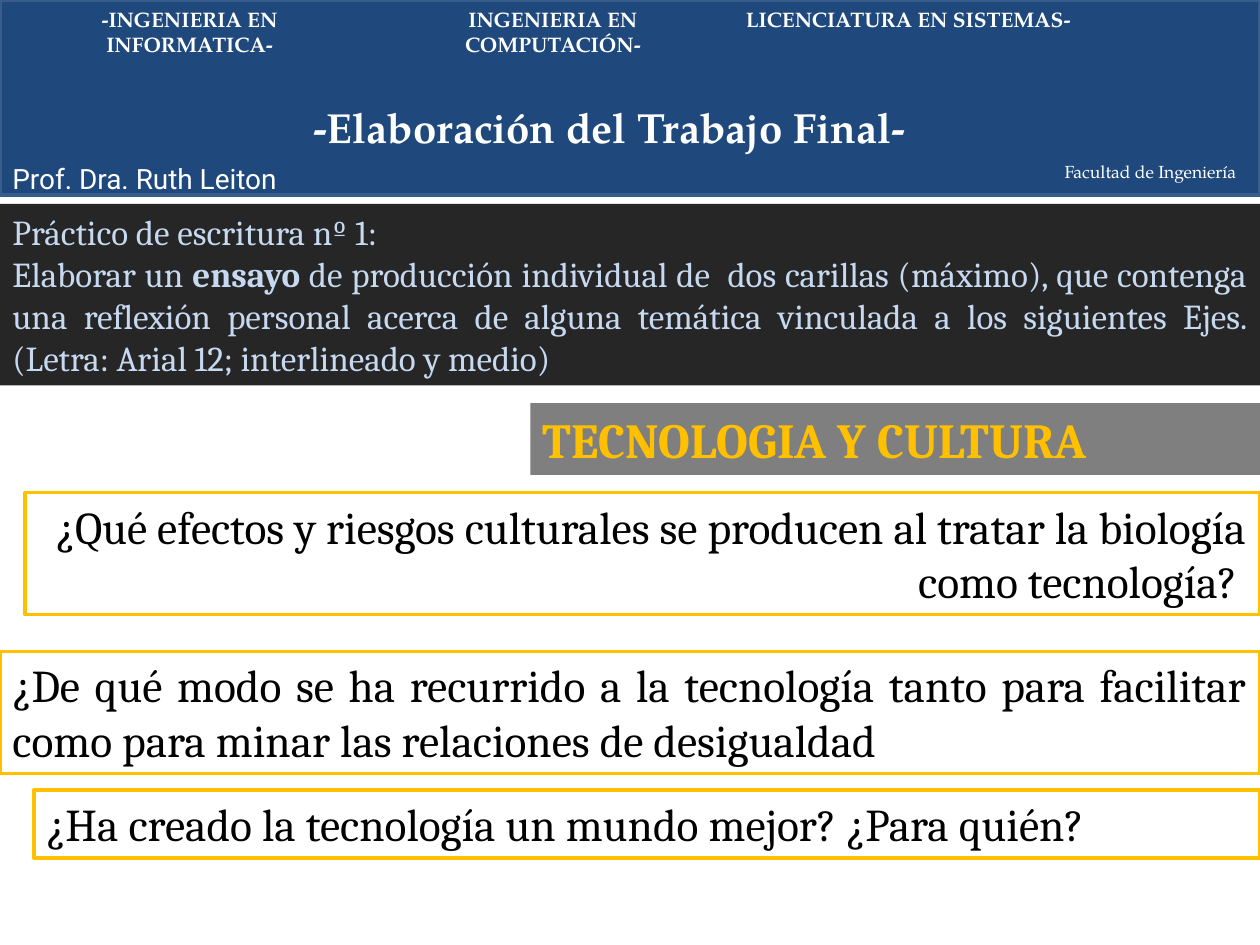
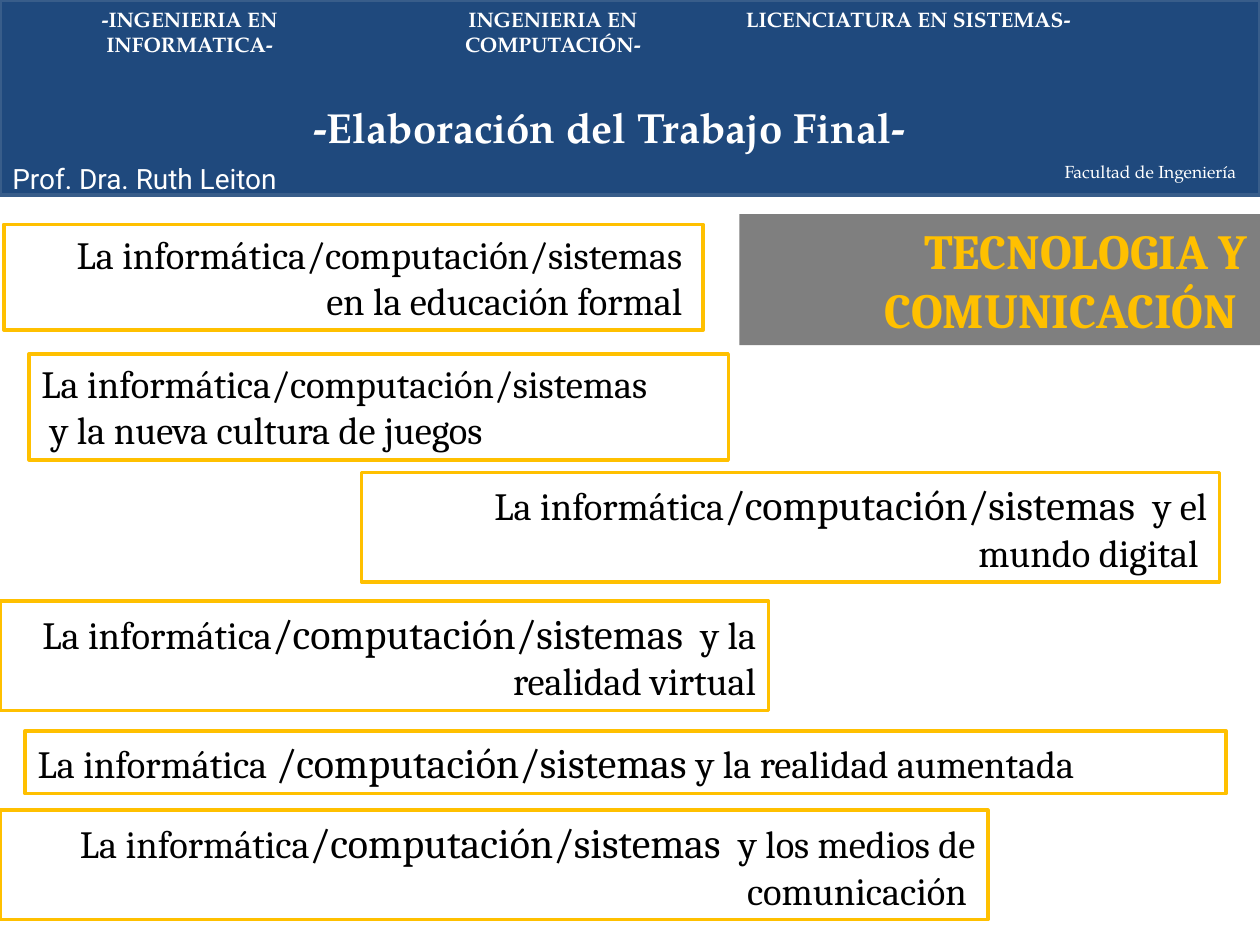
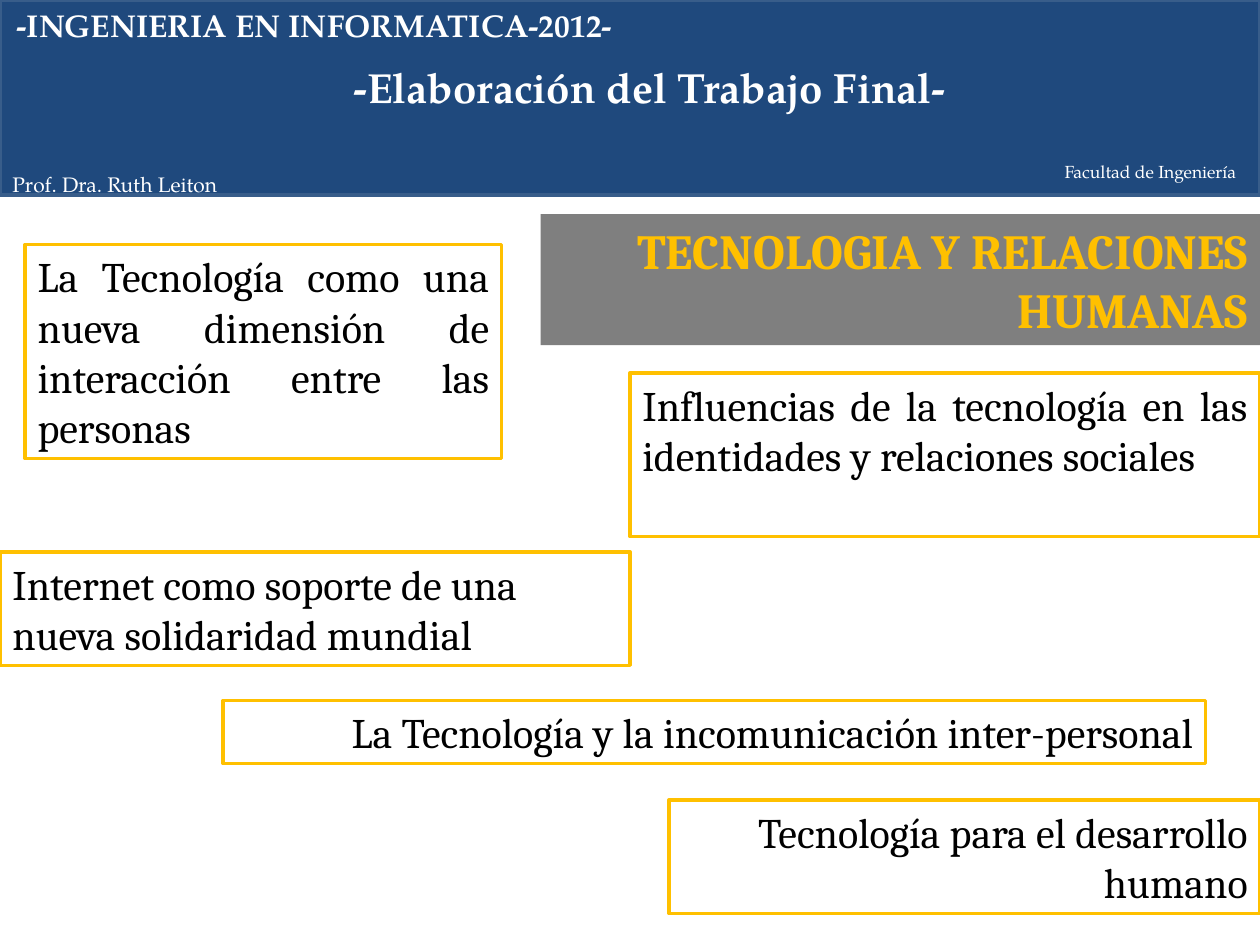
"""Build three slides with essay topics on technology, culture and society."""
from pptx import Presentation
from pptx.dml.color import RGBColor
from pptx.enum.shapes import MSO_SHAPE
from pptx.enum.text import MSO_ANCHOR, PP_ALIGN
from pptx.util import Pt

RECT = MSO_SHAPE.RECTANGLE
TOP = MSO_ANCHOR.TOP
LEFT, CENTER, RIGHT, JUSTIFY = PP_ALIGN.LEFT, PP_ALIGN.CENTER, PP_ALIGN.RIGHT, PP_ALIGN.JUSTIFY

COLORS = {
    "navy": "1F497D",
    "navy_line": "385D8A",
    "gold": "FFC000",
    "gray": "7F7F7F",
    "dark": "262626",
    "pale": "C6D9F1",
    "black": "000000",
    "white": "FFFFFF",
}
BODY, HEAD, NAME = "Cambria", "TeX Gyre Pagella", "Roboto"
WIDTH, HEIGHT = 720, 540
DEGREES = [
    (2.9, 211, "-INGENIERIA EN INFORMATICA-"),
    (210.2, 211.7, "INGENIERIA EN COMPUTACIÓN-"),
    (416.9, 204.5, "LICENCIATURA EN SISTEMAS-"),
]


def rgb(name):
    return RGBColor.from_string(COLORS[name])


class Deck:
    """Holds the style and the current slide."""

    def __init__(self):
        self.prs = Presentation()
        self.prs.slide_width, self.prs.slide_height = Pt(WIDTH), Pt(HEIGHT)
        self.s = None

    def new_slide(self):
        self.s = self.prs.slides.add_slide(self.prs.slide_layouts[6])

    def add_text(self, sp, paras, size, color, align, font=BODY, bold=False, wrap=True):
        tf = sp.text_frame
        tf.word_wrap = wrap
        tf.vertical_anchor = TOP
        for i, runs in enumerate(paras):
            p = tf.add_paragraph() if i else tf.paragraphs[0]
            p.alignment = align
            for text, run_size, run_bold in runs:
                r = p.add_run()
                r.text = text
                r.font.name = font
                r.font.size = Pt(run_size or size)
                r.font.bold = bold or run_bold
                r.font.color.rgb = rgb(color)

    def rect(self, x, y, w, h, fill=None, line=None):
        sp = self.s.shapes.add_shape(RECT, Pt(x), Pt(y), Pt(w), Pt(h))
        sp.shadow.inherit = False
        if fill:
            sp.fill.solid()
            sp.fill.fore_color.rgb = rgb(fill)
        else:
            sp.fill.background()
        if line:
            sp.line.color.rgb = rgb(line)
            sp.line.width = Pt(2)
        else:
            sp.line.fill.background()
        return sp

    def label(self, x, y, w, h, text, size, align=LEFT, font=HEAD, bold=False, wrap=True):
        sp = self.s.shapes.add_textbox(Pt(x), Pt(y), Pt(w), Pt(h))
        self.add_text(sp, [plain(text)], size, "white", align, font, bold, wrap)

    def topic(self, x, y, w, h, paras, size, align=LEFT, wrap=True):
        sp = self.rect(x, y, w, h, line="gold")
        self.add_text(sp, paras, size, "black", align, wrap=wrap)

    def heading(self, x, y, h, text, align=RIGHT):
        sp = self.rect(x, y, WIDTH - x, h, fill="gray")
        self.add_text(sp, [plain(text)], 28, "gold", align, bold=True)

    def brief(self, y, h, paras):
        sp = self.rect(0, y, WIDTH, h, fill="dark")
        self.add_text(sp, paras, 20, "pale", JUSTIFY)

    def band(self, title_x, title_y):
        self.rect(0, 0, WIDTH, 111.6, fill="navy", line="navy_line")
        self.label(601.2, 88.6, 118.8, 31.7, "Facultad de Ingeniería", 10)
        self.label(title_x, title_y, 475.9, 36, "-Elaboración del Trabajo Final-", 24, CENTER, bold=True)

    def degrees_band(self):
        self.band(110.2, 54.7)
        self.label(0, 88.6, 178.6, 46.1, "Prof. Dra. Ruth Leiton", 16, font=NAME)
        for x, w, degree in DEGREES:
            self.label(x, 0, w, 21.6, degree, 12, CENTER, bold=True)

    def year_band(self):
        self.band(133.2, 31.7)
        self.label(0, 94.3, 155.5, 21.6, "Prof. Dra. Ruth Leiton", 12)
        self.label(2.2, 0, 355, 28.8, "-INGENIERIA EN INFORMATICA-2012-", 18, CENTER, bold=True, wrap=False)


def plain(text):
    return [(text, None, False)]


def field(end, start="La informática"):
    return [(start, None, False), ("/computación/sistemas ", 24, False), (end, None, False)]


def culture_slide(deck):
    deck.new_slide()
    for x, y, h, align, text in [
        (14.4, 281.5, 69.8, RIGHT,
         "¿Qué efectos y riesgos culturales se producen al tratar la biología como tecnología? "),
        (0, 372.2, 69.8, JUSTIFY,
         "¿De qué modo se ha recurrido a la tecnología tanto para facilitar como para minar "
         "las relaciones de desigualdad"),
        (19.4, 451.4, 38.9, JUSTIFY, "¿Ha creado la tecnología un mundo mejor? ¿Para quién?"),
    ]:
        deck.topic(x, y, WIDTH - x, h, [plain(text)], 26, align)
    deck.heading(303.1, 230.4, 41, "TECNOLOGIA Y CULTURA", LEFT)
    deck.brief(116.6, 103.7, [
        plain("Práctico de escritura nº 1:"),
        [("Elaborar un ", None, False),
         ("ensayo", None, True),
         (" de producción individual de  dos carillas (máximo), que contenga una reflexión "
          "personal acerca de alguna temática vinculada a los siguientes Ejes. "
          "(Letra: Arial 12; interlineado y medio)", None, False)],
    ])
    deck.degrees_band()


def communication_slide(deck):
    deck.new_slide()
    deck.heading(422.6, 122.4, 74.9, "TECNOLOGIA Y COMUNICACIÓN ")
    deck.topic(2.2, 128.2, 399.6, 60.5, [
        plain("La informática/computación/sistemas "),
        plain("en la educación formal "),
    ], 22, RIGHT, wrap=False)
    deck.topic(16.6, 202.3, 399.6, 60.5, [
        plain("La informática/computación/sistemas"),
        plain(" y la nueva cultura de juegos "),
    ], 22, wrap=False)
    for x, y, w, end in [
        (0, 463, 564.5, " y los medios de comunicación "),
        (206.6, 270, 490.3, " y el mundo digital "),
        (0, 343.4, 439.2, " y la realidad virtual"),
    ]:
        deck.topic(x, y, w, 62.6, [field(end)], 22, RIGHT)
    deck.topic(14.4, 417.6, 686.2, 36, [field("y la realidad aumentada", "La informática ")], 22)
    deck.degrees_band()


def relations_slide(deck):
    deck.new_slide()
    deck.year_band()
    deck.heading(308.9, 122.4, 74.9, "TECNOLOGIA Y RELACIONES HUMANAS")
    for x, y, w, h, align, text in [
        (360, 213.1, 360, 93.6, JUSTIFY,
         "Influencias de la tecnología en las identidades y relaciones sociales"),
        (14.4, 139.7, 272.2, 122.4, JUSTIFY,
         "La Tecnología como una nueva dimensión de interacción entre las personas"),
        (0, 315.4, 360, 64.8, LEFT, "Internet como soporte de una nueva solidaridad mundial"),
        (127.4, 400.3, 561.6, 36, RIGHT, "La Tecnología y la incomunicación inter-personal"),
        (382.3, 457.2, 337.7, 64.8, RIGHT, "Tecnología para el desarrollo humano"),
    ]:
        deck.topic(x, y, w, h, [plain(text)], 24, align)


def main():
    deck = Deck()
    culture_slide(deck)
    communication_slide(deck)
    relations_slide(deck)
    deck.prs.save("out.pptx")


if __name__ == "__main__":
    main()
